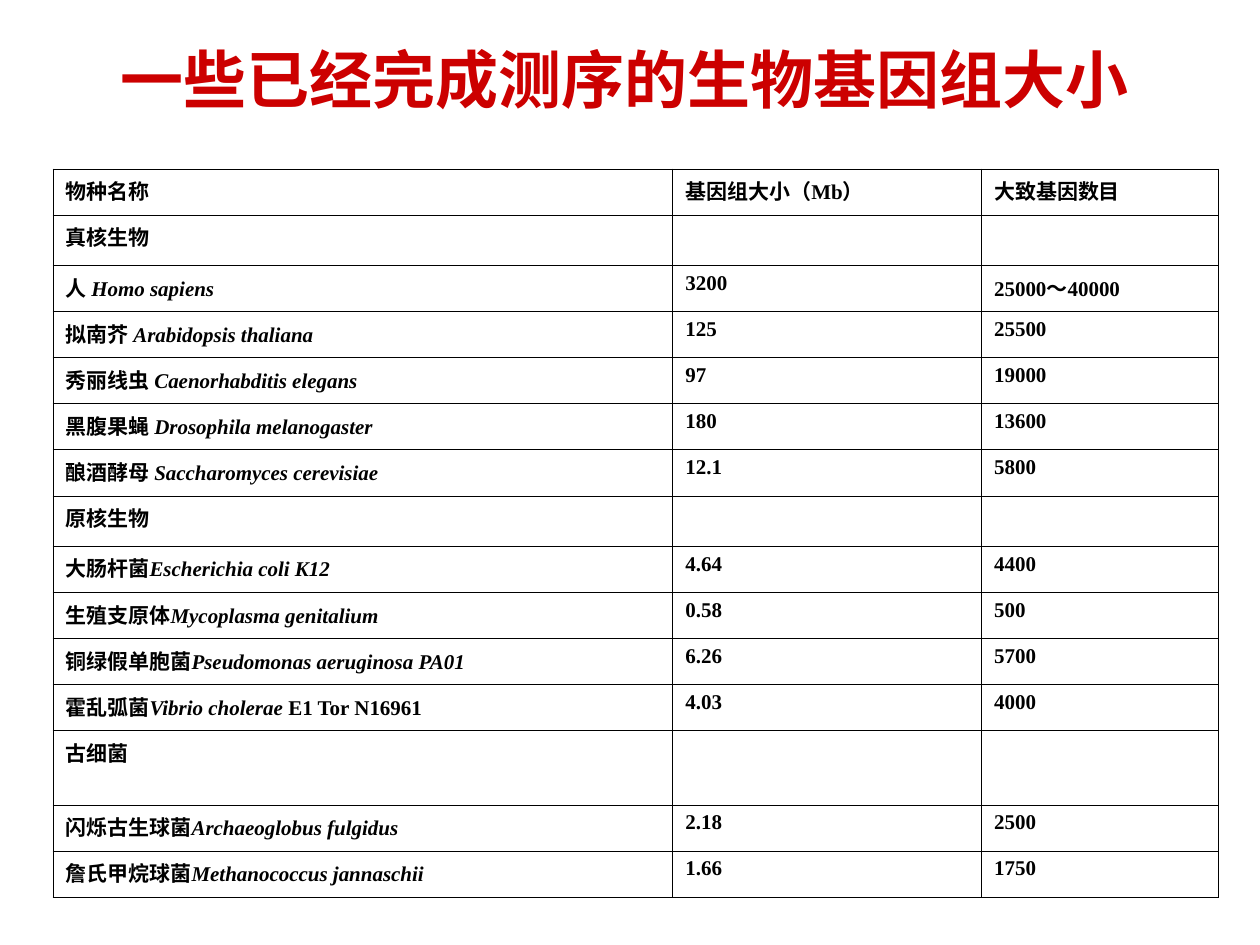
from dataclasses import dataclass

from lxml import etree
from pptx import Presentation
from pptx.dml.color import RGBColor
from pptx.enum.text import MSO_ANCHOR, PP_ALIGN
from pptx.oxml.ns import qn
from pptx.util import Inches, Pt

CENTER = PP_ALIGN.CENTER
MIDDLE = MSO_ANCHOR.MIDDLE


@dataclass(frozen=True)
class Theme:
    """Colours, fonts, type sizes and line widths."""
    title_font: str = "Arial"
    body_font: str = "Times New Roman"
    title_size: int = 36
    body_size: int = 12
    title: str = "CC0000"
    ink: str = "000000"
    paper: str = "FFFFFF"
    outer_line: float = 0.34
    inner_line: float = 0.45
    indent: float = 0.38


THEME = Theme()
TITLE = "一些已经完成测序的生物基因组大小"
TITLE_BOX = (0.75, 0, 8.42, 1.25)
TABLE_BOX = (0.42, 1.34, 9.25, 5.74)
COLUMN_WEIGHTS = (4.92, 2.45, 1.88)
ROW_WEIGHTS = {"真核生物": 1.04, "原核生物": 1.04, "古细菌": 1.61}
ROWS = [
    (("物种名称",), "基因组大小（Mb）", "大致基因数目"),
    (("真核生物",), "", ""),
    (("人 ", "Homo sapiens"), "3200", "25000～40000"),
    (("拟南芥 ", "Arabidopsis thaliana"), "125", "25500"),
    (("秀丽线虫 ", "Caenorhabditis elegans"), "97", "19000"),
    (("黑腹果蝇 ", "Drosophila melanogaster"), "180", "13600"),
    (("酿酒酵母 ", "Saccharomyces cerevisiae"), "12.1", "5800"),
    (("原核生物",), "", ""),
    (("大肠杆菌", "Escherichia coli K12"), "4.64", "4400"),
    (("生殖支原体", "Mycoplasma genitalium"), "0.58", "500"),
    (("铜绿假单胞菌", "Pseudomonas aeruginosa PA01"), "6.26", "5700"),
    (("霍乱弧菌", "Vibrio cholerae", " E1 Tor N16961"), "4.03", "4000"),
    (("古细菌",), "", ""),
    (("闪烁古生球菌", "Archaeoglobus fulgidus"), "2.18", "2500"),
    (("詹氏甲烷球菌", "Methanococcus jannaschii"), "1.66", "1750"),
]


def set_font(p, name, size, color):
    """Give a paragraph its bold typeface, size and colour."""
    font = p.font
    font.name, font.size, font.bold = name, Pt(size), True
    font.color.rgb = RGBColor.from_string(color)


def add_title(s, box):
    """Place the centred heading in the box."""
    tf = s.shapes.add_textbox(*map(Inches, box)).text_frame
    tf.word_wrap = True
    tf.vertical_anchor = MIDDLE
    p = tf.paragraphs[0]
    p.text = TITLE
    p.alignment = CENTER
    set_font(p, THEME.title_font, THEME.title_size, THEME.title)


def set_borders(cell, widths):
    """Draw the left, right, top and bottom borders of a cell."""
    props = cell._tc.get_or_add_tcPr()
    for side, width in zip("LRTB", widths):
        line = etree.SubElement(props, qn(f"a:ln{side}"), w=str(Pt(width)))
        fill = etree.SubElement(line, qn("a:solidFill"))
        etree.SubElement(fill, qn("a:srgbClr"), val=THEME.ink)


def fill_cell(cell, parts):
    """Write the parts with a hanging indent, the second one in italics."""
    cell.fill.solid()
    cell.fill.fore_color.rgb = RGBColor.from_string(THEME.paper)
    if not any(parts):
        return
    p = cell.text_frame.paragraphs[0]
    props = p._p.get_or_add_pPr()
    props.set("marL", str(Inches(THEME.indent)))
    props.set("indent", str(Inches(-THEME.indent)))
    set_font(p, THEME.body_font, THEME.body_size, THEME.ink)
    for i, part in enumerate(parts):
        r = p.add_run()
        r.text = part
        if i == 1:
            r.font.italic = True


def add_genome_table(s, box):
    """Place the genome table, sharing the box among columns and rows."""
    left, top, width, height = map(Inches, box)
    n_cols = len(COLUMN_WEIGHTS)
    table = s.shapes.add_table(len(ROWS), n_cols, left, top, width, height).table
    table.first_row = table.horz_banding = False
    for column, weight in zip(table.columns, COLUMN_WEIGHTS):
        column.width = int(width * weight / sum(COLUMN_WEIGHTS))
    weights = [ROW_WEIGHTS.get(name[0], 1) for name, *_ in ROWS]
    outer, inner = THEME.outer_line, THEME.inner_line
    for i, (name, *values) in enumerate(ROWS):
        table.rows[i].height = int(height * weights[i] / sum(weights))
        for j, parts in enumerate([name, *([v] for v in values)]):
            cell = table.cell(i, j)
            set_borders(cell, (inner if j else outer,
                               inner if j < n_cols - 1 else outer,
                               inner if i < 2 else outer,
                               inner if i in (0, len(ROWS) - 1) else outer))
            fill_cell(cell, parts)


def main():
    """Build the slide and save it."""
    prs = Presentation()
    prs.slide_width, prs.slide_height = Inches(10), Inches(7.5)
    s = prs.slides.add_slide(prs.slide_layouts[6])
    add_title(s, TITLE_BOX)
    add_genome_table(s, TABLE_BOX)
    prs.save("out.pptx")


if __name__ == "__main__":
    main()
